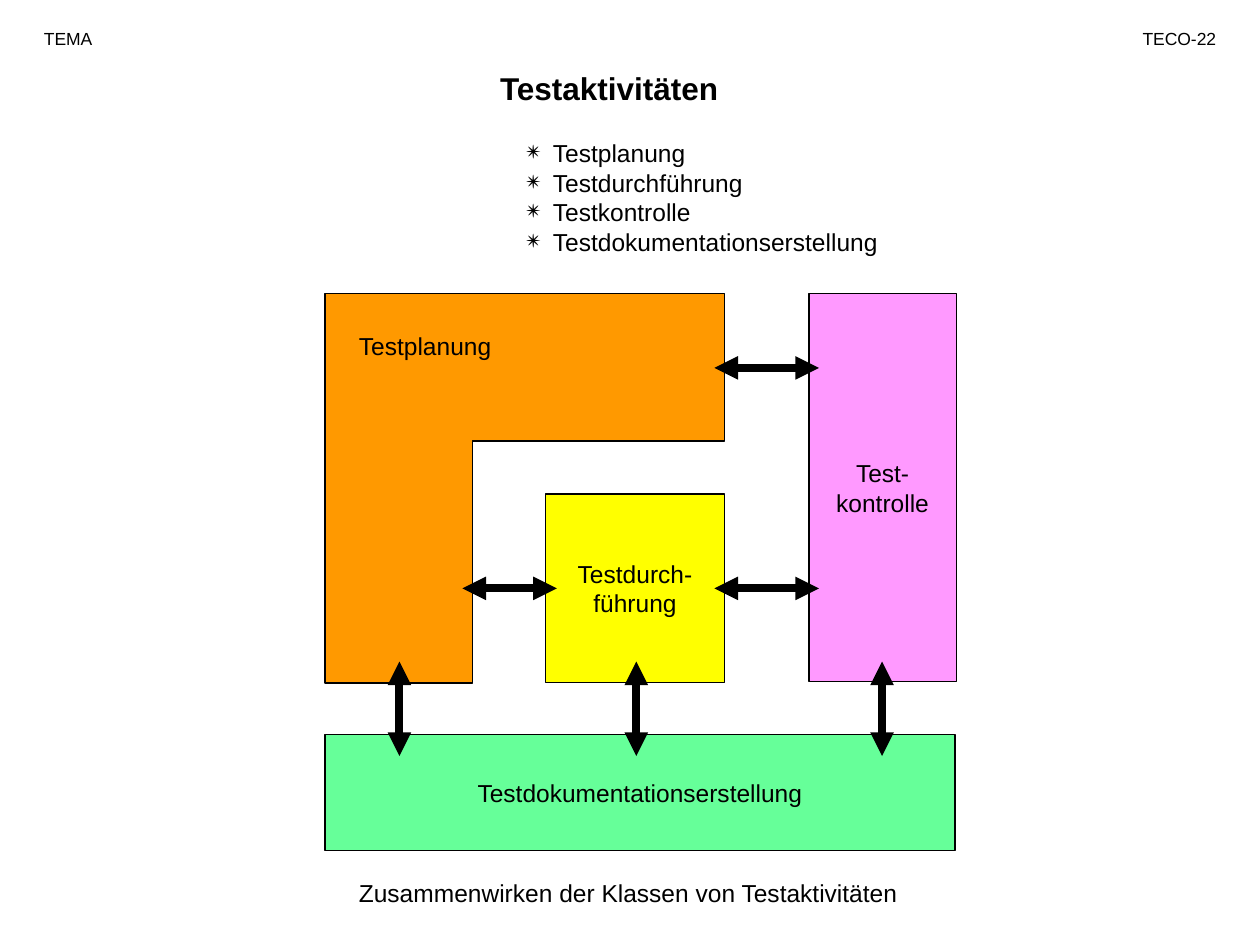
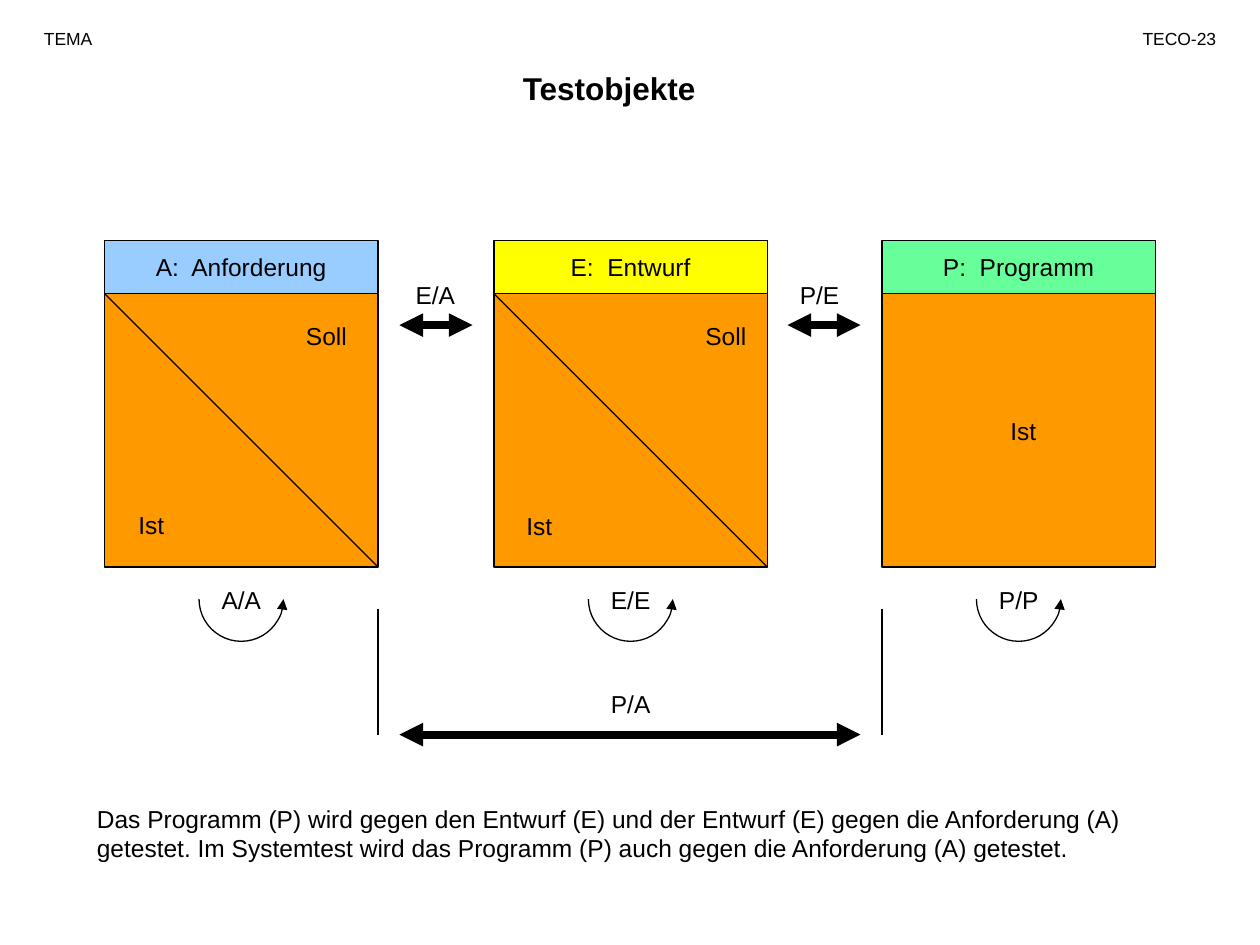
"""Build two slides on test activities and test objects."""
from dataclasses import dataclass

from lxml import etree
from pptx import Presentation
from pptx import util as u
from pptx.dml import color
from pptx.enum import shapes, text
from pptx.oxml import ns

FONT = "Arial"
BLACK, ORANGE, YELLOW = "000000", "FF9900", "FFFF00"
GREEN, PINK, BLUE = "66FF99", "FF99FF", "99CCFF"
THIN, THICK = 0.75, 4.5
BODY_SIZE = 14
LINE_HEIGHT = 0.34
LEFT, CENTER, RIGHT = text.PP_ALIGN.LEFT, text.PP_ALIGN.CENTER, text.PP_ALIGN.RIGHT


@dataclass(frozen=True)
class Label:
    """A text box with one or more paragraphs."""

    lines: tuple[str, ...]
    left: float
    top: float
    width: float
    height: float = LINE_HEIGHT
    size: int = BODY_SIZE
    align: text.PP_ALIGN = LEFT
    bold: bool = False
    bullet: str = ""


@dataclass(frozen=True)
class Block:
    """A filled rectangle with centred text."""

    lines: tuple[str, ...]
    left: float
    top: float
    width: float
    height: float
    fill: str


@dataclass(frozen=True)
class Line:
    """A straight line, thick with two arrowheads or thin without."""

    x1: float
    y1: float
    x2: float
    y2: float
    arrows: bool = False


@dataclass(frozen=True)
class TestObject:
    """A column with heading and the places of its Ist and Soll labels."""

    letter: str
    heading: str
    left: float
    fill: str
    ist: tuple[float, float]
    soll_left: float = 0


def rgb(value: str) -> color.RGBColor:
    """Turn a hex string into a colour."""
    return color.RGBColor.from_string(value)


def add_child(parent, tag: str, **attributes: str):
    """Append a drawing element to an XML parent."""
    return etree.SubElement(parent, ns.qn(tag), attributes)


def add_bullet(para, sign: str) -> None:
    """Give a paragraph a hanging bullet."""
    indent = u.Inches(0.21)
    properties = para._p.get_or_add_pPr()
    properties.set("marL", str(indent))
    properties.set("indent", str(-indent))
    add_child(properties, "a:buChar", char=sign)


def write(frame, lines: tuple[str, ...], size: int, align: text.PP_ALIGN,
          bold: bool = False, bullet: str = "") -> None:
    """Write one paragraph per line into a text frame."""
    for index, line in enumerate(lines):
        para = frame.add_paragraph() if index else frame.paragraphs[0]
        para.alignment = align
        if bullet:
            add_bullet(para, bullet)
        span = para.add_run()
        span.text = line
        span.font.name = FONT
        span.font.size = u.Pt(size)
        span.font.bold = bold
        span.font.color.rgb = rgb(BLACK)


def draw_label(page, label: Label) -> None:
    """Draw a wrapping text box."""
    box = page.shapes.add_textbox(u.Inches(label.left), u.Inches(label.top),
                                  u.Inches(label.width), u.Inches(label.height))
    box.text_frame.word_wrap = True
    box.text_frame.auto_size = text.MSO_AUTO_SIZE.SHAPE_TO_FIT_TEXT
    write(box.text_frame, label.lines, label.size, label.align, label.bold, label.bullet)


def outline(shape, fill: str = "") -> None:
    """Set a thin black outline and an optional fill."""
    shape.shadow.inherit = False
    if fill:
        shape.fill.solid()
        shape.fill.fore_color.rgb = rgb(fill)
    else:
        shape.fill.background()
    shape.line.color.rgb = rgb(BLACK)
    shape.line.width = u.Pt(THIN)


def draw_block(page, block: Block) -> None:
    """Draw a rectangle with its text."""
    shape = page.shapes.add_shape(shapes.MSO_SHAPE.RECTANGLE, u.Inches(block.left),
                                  u.Inches(block.top), u.Inches(block.width),
                                  u.Inches(block.height))
    outline(shape, block.fill)
    frame = shape.text_frame
    frame.word_wrap = False
    frame.vertical_anchor = text.MSO_ANCHOR.MIDDLE
    write(frame, block.lines, BODY_SIZE, CENTER)


def draw_line(page, line: Line) -> None:
    """Draw a line or a double arrow."""
    connector = page.shapes.add_connector(
        shapes.MSO_CONNECTOR.STRAIGHT, u.Inches(line.x1), u.Inches(line.y1),
        u.Inches(line.x2), u.Inches(line.y2))
    connector.line.color.rgb = rgb(BLACK)
    connector.line.width = u.Pt(THICK if line.arrows else THIN)
    if line.arrows:
        for tag in ("a:headEnd", "a:tailEnd"):
            add_child(connector.line._get_or_add_ln(), tag, type="triangle")
    add_child(connector._element.spPr, "a:effectLst")


def draw_polygon(page, points: list[tuple[float, float]], fill: str) -> None:
    """Draw a closed outline through the points."""
    corners = [(u.Inches(x), u.Inches(y)) for x, y in points]
    builder = page.shapes.build_freeform(*corners[0], scale=1.0)
    builder.add_line_segments(corners[1:], close=True)
    outline(builder.convert_to_shape(), fill)


def draw_loop(page, left: float, top: float) -> None:
    """Draw a lower half circle with an arrowhead at its right end."""
    side = u.Inches(0.67)
    loop = page.shapes.add_shape(shapes.MSO_SHAPE.ARC, u.Inches(left), u.Inches(top), side, side)
    loop.adjustments[0] = 0
    loop.adjustments[1] = 108
    outline(loop)
    add_child(loop.line._get_or_add_ln(), "a:headEnd", type="triangle")


def add_page(deck, title: str, number: int):
    """Add a blank page with header and title."""
    page = deck.slides.add_slide(deck.slide_layouts[6])
    for label in (
        Label((title,), 0.75, 0.5, 8.17, 0.4, 18, CENTER, True),
        Label(("TEMA",), 0.25, 0.17, 0.92, 0.27, 10),
        Label((f"TECO-{number}",), 8.67, 0.17, 1.08, 0.27, 10, RIGHT),
    ):
        draw_label(page, label)
    return page


def build_activities(deck) -> None:
    """Build the page on test activities."""
    page = add_page(deck, "Testaktivitäten", 22)
    draw_polygon(page, [(2.58, 2.33), (5.75, 2.33), (5.75, 3.5),
                        (3.75, 3.5), (3.75, 5.42), (2.58, 5.42)], ORANGE)
    for block in (
        Block(("Test-", "kontrolle"), 6.42, 2.33, 1.17, 3.08, PINK),
        Block(("Testdurch-", "führung"), 4.33, 3.92, 1.42, 1.5, YELLOW),
        Block(("Testdokumentationserstellung",), 2.58, 5.83, 5, 0.92, GREEN),
    ):
        draw_block(page, block)
    for x in (3.17, 5.05, 7):
        draw_line(page, Line(x, 5.25, x, 6, True))
    for x1, x2, y in ((5.67, 6.5, 2.92), (5.67, 6.5, 4.67), (3.67, 4.42, 4.67)):
        draw_line(page, Line(x1, y, x2, y, True))
    activities = ("Testplanung", "Testdurchführung", "Testkontrolle",
                  "Testdokumentationserstellung")
    for label in (
        Label(activities, 4.08, 1.05, 3.08, 1.04, bullet="✴"),
        Label(("Testplanung",), 2.75, 2.58, 1.42),
        Label(("Zusammenwirken der Klassen von Testaktivitäten",), 2.75, 6.92, 4.83),
    ):
        draw_label(page, label)


def draw_test_object(page, item: TestObject, top: float, side: float) -> None:
    """Draw one column with heading, body and self-check loop."""
    draw_block(page, Block((), item.left, top, side, side, ORANGE))
    draw_block(page, Block((f"{item.letter}:  {item.heading}",), item.left, top - 0.42,
                           side, 0.42, item.fill))
    draw_label(page, Label(("Ist",), *item.ist, 0.5))
    if item.soll_left:
        draw_line(page, Line(item.left, top, item.left + side, top + side))
        draw_label(page, Label(("Soll",), item.soll_left, 2.5, 0.58))
    draw_loop(page, item.left + 0.75, 4.42)
    draw_label(page, Label((f"{item.letter}/{item.letter}",), item.left + 0.83, 4.59, 0.58))


def build_objects(deck) -> None:
    """Build the page on test objects."""
    page = add_page(deck, "Testobjekte", 23)
    for item in (
        TestObject("A", "Anforderung", 0.83, BLUE, (1, 4), 2.33),
        TestObject("E", "Entwurf", 3.92, YELLOW, (4.08, 4.01), 5.5),
        TestObject("P", "Programm", 7, GREEN, (7.92, 3.25)),
    ):
        draw_test_object(page, item, 2.33, 2.17)
    for x1, x2, y in ((3.17, 3.75, 2.58), (6.25, 6.83, 2.58), (3.17, 6.83, 5.83)):
        draw_line(page, Line(x1, y, x2, y, True))
    for x in (3, 7):
        draw_line(page, Line(x, 4.83, x, 5.83))
    summary = ("Das Programm (P) wird gegen den Entwurf (E) und der Entwurf (E) gegen die "
               "Anforderung (A) getestet. Im Systemtest wird das Programm (P) auch gegen "
               "die Anforderung (A) getestet.")
    for label in (
        Label(("E/A",), 3.2, 2.17, 0.67),
        Label(("P/E",), 6.25, 2.17, 0.67),
        Label(("P/A",), 4.75, 5.42, 0.58),
        Label((summary,), 0.67, 6.33, 8.58, 0.57),
    ):
        draw_label(page, label)


def main() -> None:
    """Build and save the deck."""
    deck = Presentation()
    deck.slide_width, deck.slide_height = u.Inches(10), u.Inches(7.5)
    build_activities(deck)
    build_objects(deck)
    deck.save("out.pptx")


if __name__ == "__main__":
    main()
